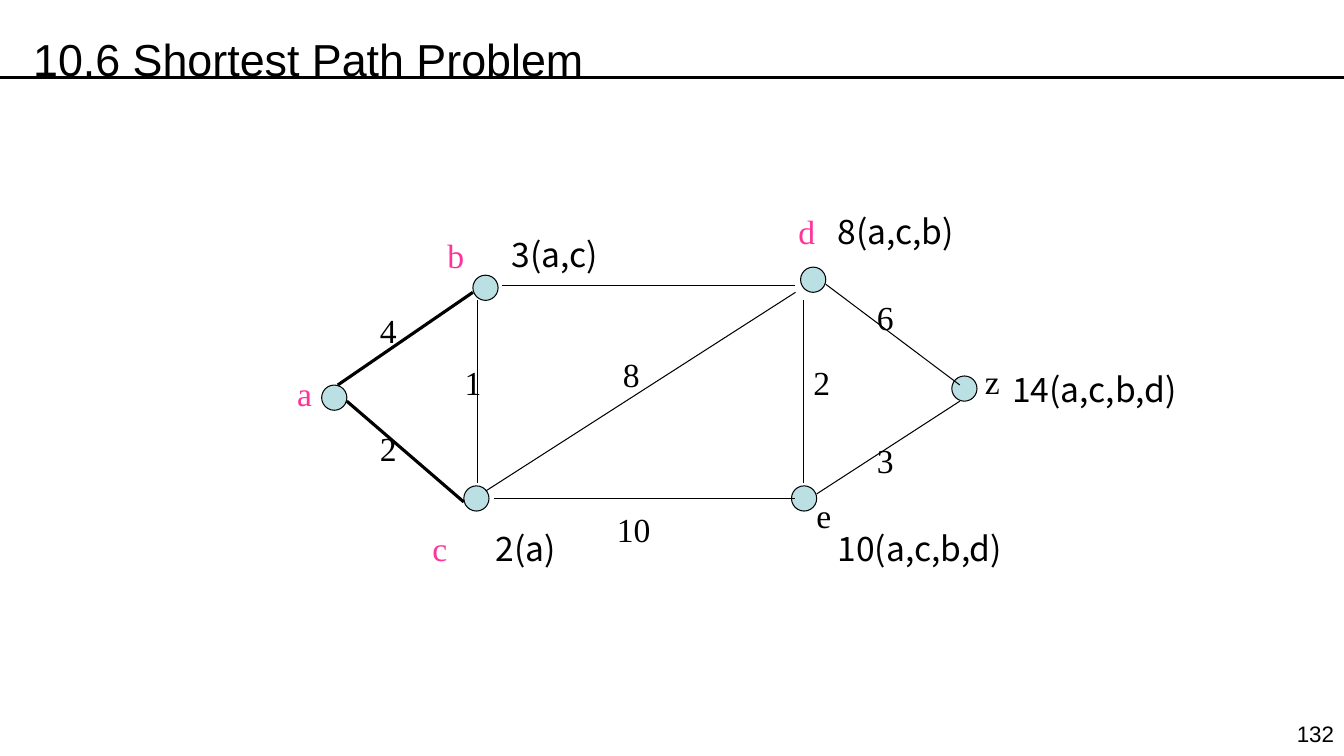
"""Build the slide showing a shortest path search on a weighted graph."""
from pptx import Presentation
from pptx.dml.color import RGBColor
from pptx.enum.shapes import MSO_CONNECTOR, MSO_SHAPE
from pptx.enum.text import PP_ALIGN
from pptx.oxml.ns import qn
from pptx.util import Inches, Pt
from lxml import etree

COLORS = {"black": "000000", "pink": "FF3399", "node": "BBE0E3"}
SERIF = "Times New Roman"
SANS = "Noto Sans CJK SC"
NODE_SIZE = 0.25
LABEL_HEIGHT = 0.5

presentation = Presentation()
presentation.slide_width = Inches(13.33)
presentation.slide_height = Inches(7.5)
slide = presentation.slides.add_slide(presentation.slide_layouts[6])


def add_text(text, left, top, width, height, font, size=24, color="black", wrap=True):
    box = slide.shapes.add_textbox(Inches(left), Inches(top), Inches(width), Inches(height))
    box.text_frame.word_wrap = wrap
    box.text_frame.text = text
    paragraph = box.text_frame.paragraphs[0]
    run = paragraph.runs[0]
    run.font.name = font
    run.font.size = Pt(size)
    run.font.color.rgb = RGBColor.from_string(COLORS[color])
    east_asian = etree.SubElement(run.font._element, qn("a:ea"))
    east_asian.set("typeface", font)
    return paragraph


def add_line(start_x, start_y, end_x, end_y, weight):
    connector = slide.shapes.add_connector(
        MSO_CONNECTOR.STRAIGHT, Inches(start_x), Inches(start_y), Inches(end_x), Inches(end_y))
    connector.line.color.rgb = RGBColor.from_string(COLORS["black"])
    connector.line.width = Pt(weight)
    etree.SubElement(connector._element.spPr, qn("a:effectLst"))


add_line(0, 0.77, 13.33, 0.77, 2.25)
page_number = add_text("132", 12.7, 7.1, 0.63, 0.37, "Arial", 16)
page_number.alignment = PP_ALIGN.RIGHT
title = add_text("10.6 Shortest Path Problem", 0.23, 0, 12.09, 0.81, "Arial", 32)
title.line_spacing = 1.5

nodes = [(3.19, 3.82), (4.69, 2.73), (4.6, 4.82), (7.85, 4.82), (7.94, 2.65), (9.44, 3.73)]
for left, top in nodes:
    node = slide.shapes.add_shape(
        MSO_SHAPE.OVAL, Inches(left), Inches(top), Inches(NODE_SIZE), Inches(NODE_SIZE))
    node.shadow.inherit = False
    node.fill.solid()
    node.fill.fore_color.rgb = RGBColor.from_string(COLORS["node"])
    node.line.color.rgb = RGBColor.from_string(COLORS["black"])
    node.line.width = Pt(0.75)

edges = [
    (3.35, 3.82, 4.69, 2.9, 2.25),
    (3.44, 3.98, 4.6, 4.98, 2.25),
    (4.98, 2.83, 7.89, 2.83, 0.75),
    (8.19, 2.82, 9.52, 3.82, 0.75),
    (4.82, 4.87, 7.89, 2.9, 0.75),
    (4.9, 4.95, 7.89, 4.95, 0.75),
    (8.1, 4.9, 9.52, 3.98, 0.75),
    (4.74, 2.98, 4.74, 4.79, 0.75),
    (7.97, 2.98, 7.97, 4.79, 0.75),
]
for edge in edges:
    add_line(*edge)

node_names = [
    ("a", 2.85, 3.65, "pink"),
    ("b", 4.34, 2.28, "pink"),
    ("c", 4.19, 5.19, "pink"),
    ("d", 7.82, 2.04, "pink"),
    ("e", 8, 4.86, "black"),
    ("z", 9.67, 3.53, "black"),
]
for name, left, top, color in node_names:
    add_text(name, left, top, 0.36, LABEL_HEIGHT, SERIF, color=color, wrap=False)

edge_weights = [
    ("2", 3.67, 4.2),
    ("4", 3.67, 3.03),
    ("6", 8.6, 2.9),
    ("8", 6.08, 3.46),
    ("10", 6.02, 5),
    ("3", 8.6, 4.32),
    ("1", 4.51, 3.54),
    ("2", 7.97, 3.54),
]
for weight, left, top in edge_weights:
    add_text(weight, left, top, 0.2 + 0.17 * len(weight), LABEL_HEIGHT, SERIF, wrap=False)

shortest_paths = [
    ("14(a,c,b,d)", 9.94, 3.61, 2.2),
    ("2(a)", 4.82, 5.19, 1.02),
    ("3(a,c)", 4.98, 2.27, 1.73),
    ("8(a,c,b)", 8.21, 2.04, 1.73),
    ("10(a,c,b,d)", 8.21, 5.19, 2.36),
]
for path_label, left, top, width in shortest_paths:
    add_text(path_label, left, top, width, LABEL_HEIGHT, SANS)

presentation.save("out.pptx")
